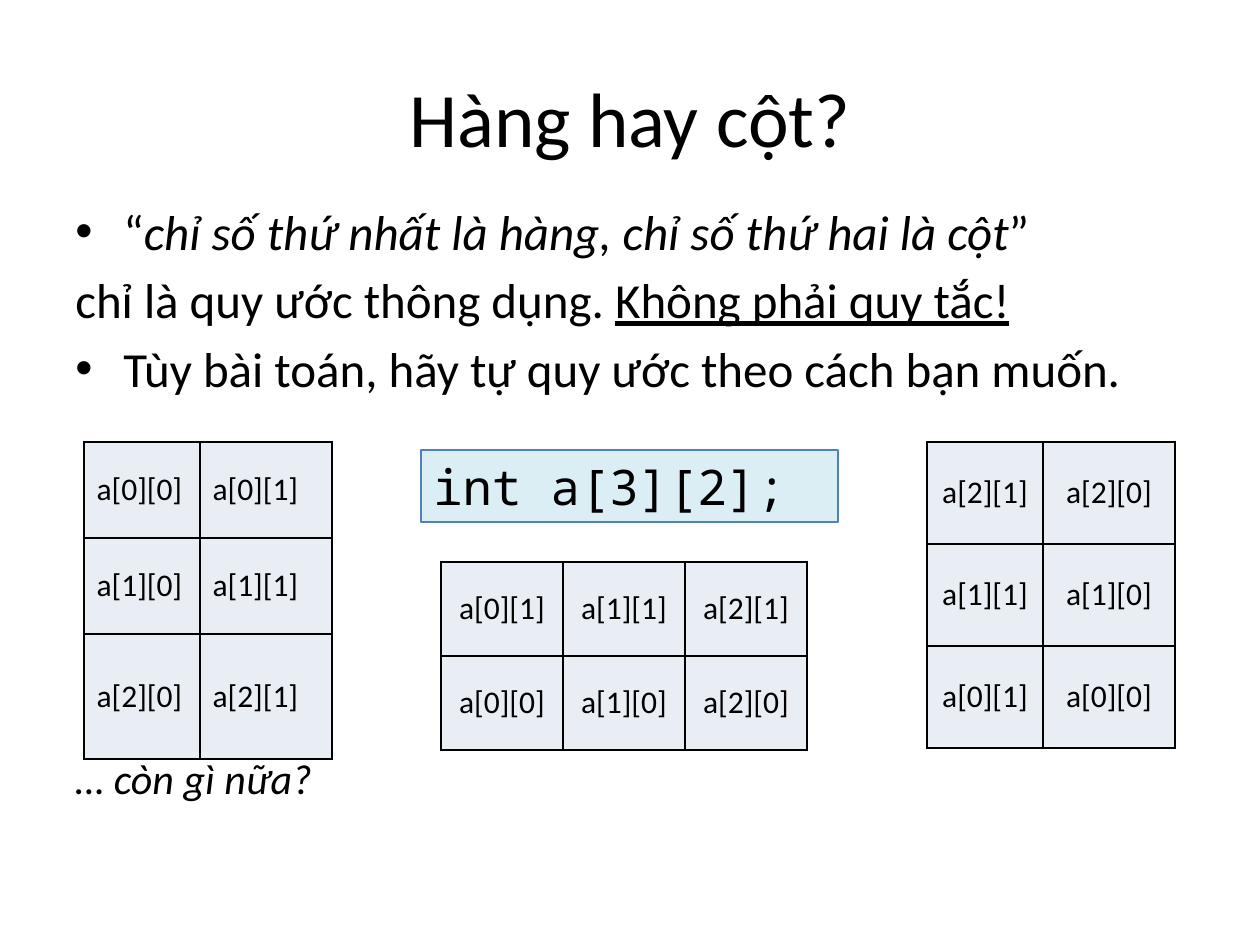
from lxml.etree import SubElement
from pptx import Presentation
from pptx.dml.color import RGBColor
from pptx.enum.shapes import MSO_SHAPE
from pptx.enum.text import MSO_ANCHOR as ANCHOR, MSO_AUTO_SIZE as FIT, PP_ALIGN as ALIGN
from pptx.oxml.ns import qn
from pptx.util import Emu, Pt

PX = 914400 // 126
INK, CELL, CODE_FILL, CODE_LINE = "000000", "E9EDF4", "DBEEF4", "4F81BD"
INDENT = 48

TITLE = "Hàng hay cột?"
BODY = [
    (True, [("“", {}),
            ("chỉ số thứ nhất là hàng, chỉ số thứ hai là cột", {"italic": True}),
            ("”", {})]),
    (False, [("chỉ là quy ước thông dụng. ", {}),
             ("Không phải quy tắc!", {"underline": True})]),
    (True, [("Tùy bài toán, hãy tự quy ước theo cách bạn muốn.", {})]),
]
CLOSING = [(False, [("… còn gì nữa?", {"italic": True})])]
CODE = "int a[3][2];"
TABLES = [
    {"at": (84, 442), "cols": [116, 132], "rows": [96, 96, 125], "align": ALIGN.LEFT,
     "index": [["00", "01"], ["10", "11"], ["20", "21"]]},
    {"at": (927, 442), "cols": [116, 132], "rows": [102] * 3, "align": ALIGN.CENTER,
     "index": [["21", "20"], ["11", "10"], ["01", "00"]]},
    {"at": (441, 562), "cols": [122] * 3, "rows": [94] * 2, "align": ALIGN.CENTER,
     "index": [["01", "11", "21"], ["00", "10", "20"]]},
]


def px(*values):
    """Turn pixel lengths into EMU."""
    return [Emu(v * PX) for v in values]


def color(hex_string):
    """Turn a hex string into a colour."""
    return RGBColor.from_string(hex_string)


def put(obj, **values):
    """Set several attributes of an object."""
    for name, value in values.items():
        setattr(obj, name, value)


def add_run(p, text, size, font="Calibri", **style):
    """Add a formatted run to a paragraph."""
    r = p.add_run()
    r.text = text
    put(r.font, size=Pt(size), name=font, **style)
    r.font.color.rgb = color(INK)


def add_text(s, box, paragraphs, size):
    """Add a text box whose paragraphs may carry bullets."""
    tf = s.shapes.add_textbox(*px(*box)).text_frame
    tf.word_wrap = True
    for i, (bullet, runs) in enumerate(paragraphs):
        p = tf.add_paragraph() if i else tf.paragraphs[0]
        p.space_before = Pt(size * 0.2)
        if bullet:
            pPr = p._p.get_or_add_pPr()
            pPr.set("marL", str(INDENT * PX))
            pPr.set("indent", str(-INDENT * PX))
            SubElement(pPr, qn("a:buFont"), typeface="Arial")
            SubElement(pPr, qn("a:buChar"), char="•")
        for text, style in runs:
            add_run(p, text, size, **style)


def add_borders(cell):
    """Draw a thin line on each side of a cell."""
    tcPr = cell._tc.get_or_add_tcPr()
    for i, side in enumerate(("lnL", "lnR", "lnT", "lnB")):
        ln = SubElement(tcPr, qn(f"a:{side}"), w=str(Pt(1)))
        fill = SubElement(ln, qn("a:solidFill"))
        SubElement(fill, qn("a:srgbClr"), val=INK)
        tcPr.insert(i, ln)


def add_grid(s, at, cols, rows, align, index):
    """Add a table of array elements named by their two indices."""
    box = px(*at, sum(cols), sum(rows))
    table = s.shapes.add_table(len(rows), len(cols), *box).table
    put(table, first_row=False, horz_banding=False)
    for col, width in zip(table.columns, px(*cols)):
        col.width = width
    for row, height, line in zip(table.rows, px(*rows), index):
        row.height = height
        for cell, (i, j) in zip(row.cells, line):
            cell.vertical_anchor = ANCHOR.MIDDLE
            cell.fill.solid()
            cell.fill.fore_color.rgb = color(CELL)
            add_borders(cell)
            p = cell.text_frame.paragraphs[0]
            p.alignment = align
            add_run(p, f"a[{i}][{j}]", 18)


def add_code(s, box, text):
    """Add the code declaration in a tinted rectangle."""
    sp = s.shapes.add_shape(MSO_SHAPE.RECTANGLE, *px(*box))
    sp.shadow.inherit = False
    sp.fill.solid()
    sp.fill.fore_color.rgb = color(CODE_FILL)
    sp.line.color.rgb = color(CODE_LINE)
    sp.line.width = Pt(0.75)
    tf = sp.text_frame
    put(tf, word_wrap=True, auto_size=FIT.SHAPE_TO_FIT_TEXT, vertical_anchor=ANCHOR.TOP)
    p = tf.paragraphs[0]
    p.alignment = ALIGN.LEFT
    add_run(p, text, 28, "Noto Sans Mono")


def main():
    """Build the slide and save it."""
    prs = Presentation()
    prs.slide_width, prs.slide_height = px(1260, 945)
    s = prs.slides.add_slide(prs.slide_layouts[5])
    title = s.shapes.title
    put(title, **dict(zip(("left", "top", "width", "height"), px(63, 38, 1134, 157))))
    title.text_frame.vertical_anchor = ANCHOR.MIDDLE
    p = title.text_frame.paragraphs[0]
    p.alignment = ALIGN.CENTER
    add_run(p, TITLE, 44)
    add_text(s, (63, 195, 1134, 220), BODY, 28)
    add_text(s, (63, 746, 1134, 64), CLOSING, 24)
    for table in TABLES:
        add_grid(s, **table)
    add_code(s, (421, 450, 417, 72), CODE)
    prs.save("out.pptx")


if __name__ == "__main__":
    main()
